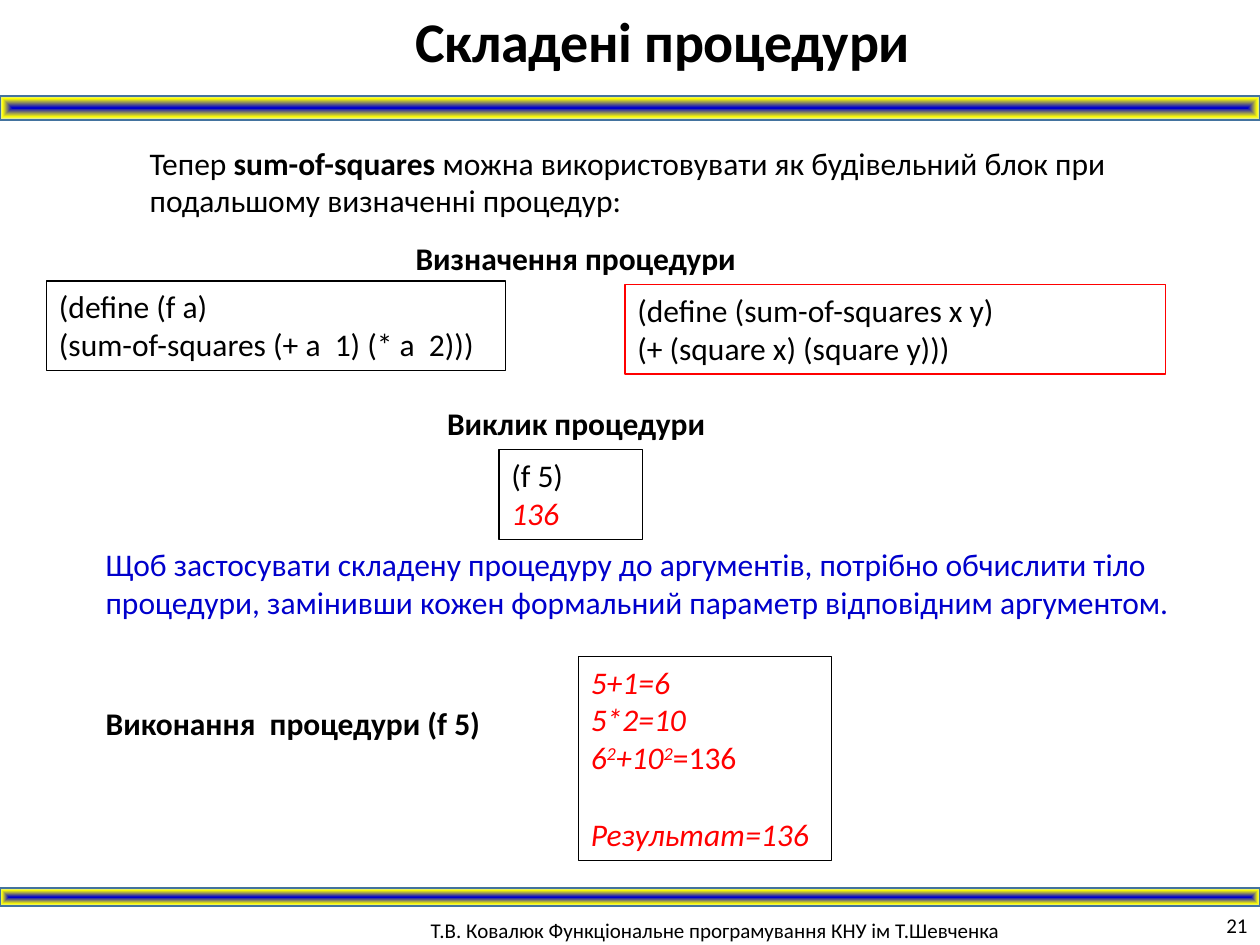
from pptx import Presentation
from pptx.dml.color import RGBColor
from pptx.enum.shapes import MSO_SHAPE
from pptx.enum.text import MSO_ANCHOR, MSO_AUTO_SIZE, PP_ALIGN
from pptx.oxml import parse_xml
from pptx.oxml.ns import nsdecls
from pptx.util import Inches, Pt

BLACK = RGBColor(0x00, 0x00, 0x00)
RED = RGBColor(0xFF, 0x00, 0x00)
BLUE = RGBColor(0x00, 0x00, 0xCC)
BAND_EDGE = RGBColor(0x43, 0x73, 0x9E)
BAND_STOPS = [(0, BLUE), (77, RGBColor(0xFF, 0xFF, 0x00)), (100, RGBColor(0xCE, 0xE1, 0xF2))]
RECTANGLE = MSO_SHAPE.RECTANGLE
LEFT, RIGHT = PP_ALIGN.LEFT, PP_ALIGN.RIGHT
TOP, MIDDLE = MSO_ANCHOR.TOP, MSO_ANCHOR.MIDDLE
FIT_SHAPE = MSO_AUTO_SIZE.SHAPE_TO_FIT_TEXT


class SlideBuilder:
    font_name = "Calibri"
    body_size = 18
    footer_size = 12

    def __init__(self, page):
        self.page = page

    def band(self, top, height):
        """Full-width bar whose gradient runs from the centre to the edges."""
        bar = self.page.shapes.add_shape(
            RECTANGLE, Inches(0), Inches(top), Inches(10), Inches(height))
        bar.shadow.inherit = False
        stops = "".join(
            f'<a:gs pos="{pos * 1000}"><a:srgbClr val="{color}"/></a:gs>'
            for pos, color in BAND_STOPS)
        bar._element.spPr.insert(2, parse_xml(
            f'<a:gradFill {nsdecls("a")} rotWithShape="1"><a:gsLst>{stops}</a:gsLst>'
            '<a:path path="shape"><a:fillToRect l="50000" t="50000" r="50000" b="50000"/>'
            '</a:path></a:gradFill>'))
        bar.line.color.rgb = BAND_EDGE
        bar.line.width = Pt(1)

    def set_text(self, box, lines, size=body_size, color=BLACK, bold=None, italic=None,
                 align=LEFT, anchor=TOP, wrap=True, fit=True):
        """Fill a box; each line is a string or a list of strings to be set as runs."""
        frame = box.text_frame
        frame.word_wrap = wrap
        frame.vertical_anchor = anchor
        if fit:
            frame.auto_size = FIT_SHAPE
        for number, line in enumerate(lines):
            para = frame.add_paragraph() if number else frame.paragraphs[0]
            para.alignment = align
            para.font.name = self.font_name
            para.font.size = Pt(size)
            para.font.color.rgb = color
            para.font.bold = bold
            para.font.italic = italic
            for text in [line] if isinstance(line, str) else line:
                para.add_run().text = text
        return frame.paragraphs

    def label(self, left, top, width, height, lines, **style):
        box = self.page.shapes.add_textbox(
            Inches(left), Inches(top), Inches(width), Inches(height))
        return self.set_text(box, lines, **style)

    def heading(self, left, top, width, text, height=0.4, size=body_size):
        return self.label(left, top, width, height, [text], size=size, bold=True, wrap=False)

    def framed(self, left, top, width, height, lines, edge=BLACK, **style):
        box = self.page.shapes.add_shape(
            RECTANGLE, Inches(left), Inches(top), Inches(width), Inches(height))
        box.shadow.inherit = False
        box.fill.background()
        box.line.color.rgb = edge
        box.line.width = Pt(0.75)
        return self.set_text(box, lines, **style)


def superscript(span):
    span._r.get_or_add_rPr().set("baseline", "30000")


def main():
    deck = Presentation()
    deck.slide_width, deck.slide_height = Inches(10), Inches(7.5)
    builder = SlideBuilder(deck.slides.add_slide(deck.slide_layouts[6]))

    builder.label(3.32, 7.23, 6, 0.32,
                  ["Т.В. Ковалюк Функціональне програмування КНУ ім Т.Шевченка"],
                  size=builder.footer_size, fit=False)
    builder.band(0.76, 0.19)
    builder.band(7.05, 0.14)
    builder.label(9.31, 7.18, 0.69, 0.32, ["21"], size=builder.footer_size,
                  align=RIGHT, anchor=MIDDLE, fit=False)

    title, = builder.heading(3.2, 0, 4.16, "Складені процедури", height=0.64, size=32)
    title.runs[0]._r.get_or_add_rPr().set("spc", "-20")
    intro, = builder.label(1.09, 1.09, 8.04, 0.71, [[
        "Тепер ", "sum-of-squares ",
        "можна використовувати як будівельний блок при подальшому визначенні процедур:"]])
    intro.runs[1].font.bold = True

    builder.heading(3.2, 1.85, 2.77, "Визначення процедури")
    builder.framed(0.37, 2.23, 3.64, 0.71,
                   ["(define (f a)", "(sum-of-squares (+ a  1) (* a  2)))"])
    builder.framed(4.96, 2.26, 4.29, 0.71,
                   ["(define (sum-of-squares x y)", "(+ (square x) (square y)))"], edge=RED)

    builder.heading(3.45, 3.16, 2.27, "Виклик процедури")
    call, answer = builder.framed(3.96, 3.57, 1.14, 0.71, ["(f 5)", "136"])
    answer.font.color.rgb = RED
    answer.font.italic = True

    builder.label(0.74, 4.28, 8.87, 0.71, [
        "Щоб застосувати складену процедуру до аргументів, потрібно обчислити тіло",
        "процедури, замінивши кожен формальний параметр відповідним аргументом."], color=BLUE)

    builder.heading(0.74, 5.54, 3.21, "Виконання  процедури (f 5)")
    steps = builder.framed(4.59, 5.21, 2.01, 1.62, [
        "5+1=6", "5*2=10", ["6", "2", "+10", "2", "=136"], "Результат=136"],
        color=RED, italic=True)
    squares, result = steps[2:]
    for exponent in squares.runs[1:4:2]:
        superscript(exponent)
    squares.runs[-1].font.italic = False
    result.space_before = Pt(22)

    deck.save("out.pptx")


if __name__ == "__main__":
    main()
